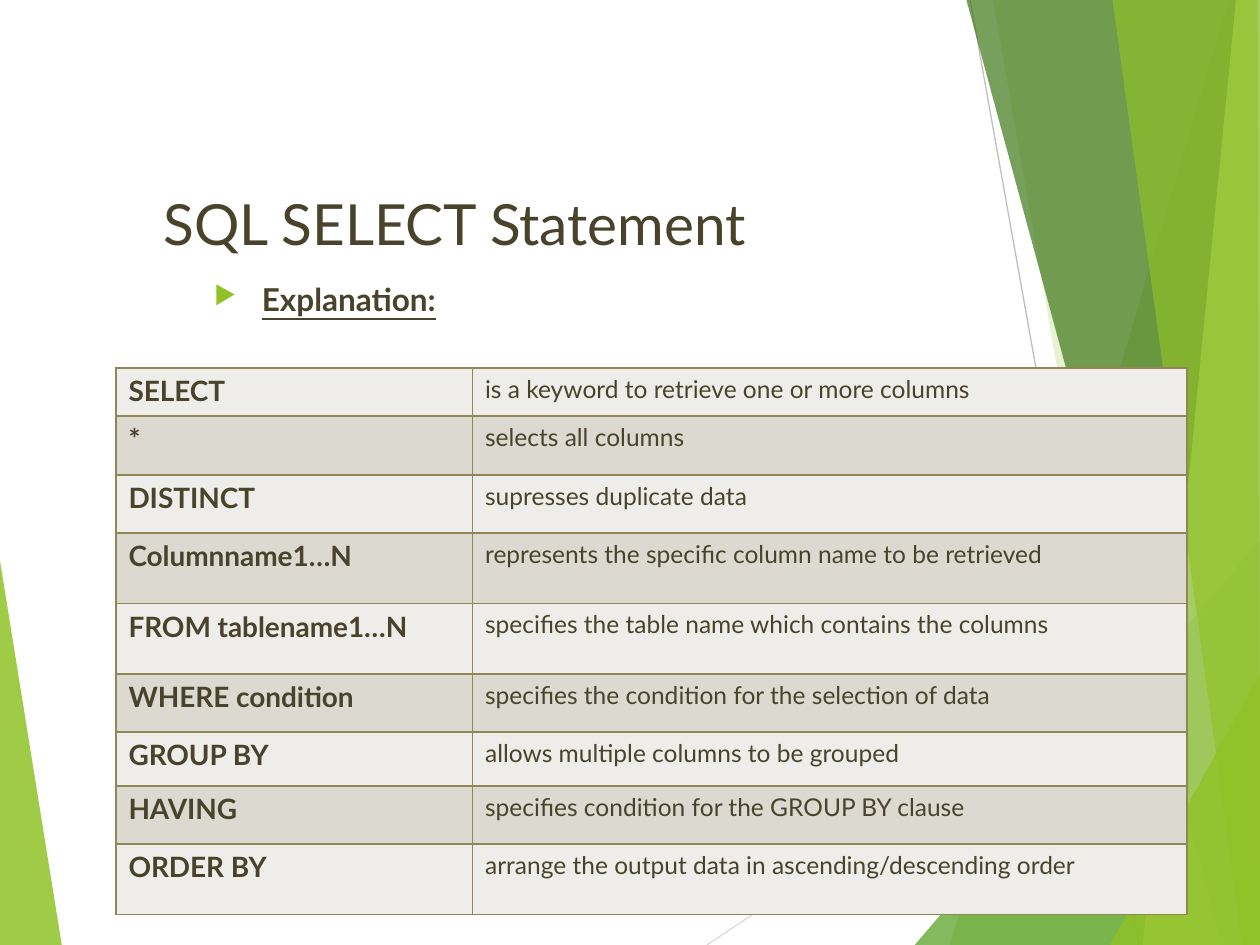
from lxml.etree import SubElement
from pptx import Presentation
from pptx.dml.color import RGBColor
from pptx.enum.shapes import MSO_CONNECTOR
from pptx.enum.text import MSO_ANCHOR
from pptx.oxml import parse_xml
from pptx.oxml.ns import nsdecls, qn
from pptx.util import Inches, Pt

TEXT_COLOR = "48432A"


def set_color(color_format, value):
    color_format.rgb = RGBColor.from_string(value)


def format_run(run, size, bold=False):
    run.font.name = "Lato"
    run.font.size = Pt(size)
    run.font.bold = bold
    set_color(run.font.color, TEXT_COLOR)


presentation = Presentation()
presentation.slide_width = Inches(10)
presentation.slide_height = Inches(7.5)
slide = presentation.slides.add_slide(presentation.slide_layouts[6])

left_facet = ("90C226", 85, [(0, 4.45), (0.49, 7.5), (0, 7.5)])
right_facets = [
    ("90C226", 30, [(9.75, 0), (7.54, 7.5), (10, 7.5), (10, 0)]),
    ("90C226", 20, [(7.88, 0), (9.19, 7.5), (10, 7.5), (10, 0)]),
    ("54A021", 72, [(7.26, 7.5), (10, 4.29), (10, 7.5)]),
    ("3F7819", 70, [(7.67, 0), (9.7, 7.5), (10, 7.5), (10, 0)]),
    ("C0E474", 70, [(9.81, 0), (9.07, 7.5), (10, 7.5), (10, 0)]),
    ("90C226", 65, [(8.83, 0), (9.86, 7.5), (10, 7.5), (9.98, 0)]),
    ("90C226", 80, [(8.81, 7.5), (10, 5.35), (10, 7.5)]),
]
for color, opacity, points in [left_facet] + right_facets:
    corners = [(Inches(x), Inches(y)) for x, y in points]
    builder = slide.shapes.build_freeform(*corners[0])
    builder.add_line_segments(corners[1:], close=True)
    facet = builder.convert_to_shape()
    facet.shadow.inherit = False
    facet.line.fill.background()
    facet.fill.solid()
    set_color(facet.fill.fore_color, color)
    color_element = facet.fill._xPr.find(qn("a:solidFill"))[0]
    SubElement(color_element, qn("a:alpha"), val=str(opacity * 1000))

    if points == left_facet[2]:
        for line_color, ends in [
            ("D9D9D9", (5.61, 7.5, 10, 4.57)),
            ("BFBFBF", (7.7, 0, 9.04, 7.5)),
        ]:
            connector = slide.shapes.add_connector(
                MSO_CONNECTOR.STRAIGHT, *[Inches(value) for value in ends]
            )
            connector.line.width = Pt(0.75)
            set_color(connector.line.color, line_color)
            SubElement(connector._element.spPr, qn("a:effectLst"))

title = slide.shapes.add_textbox(Inches(1.2), Inches(1.45), Inches(7.62), Inches(0.63))
title.text_frame.word_wrap = True
title.text_frame.vertical_anchor = MSO_ANCHOR.MIDDLE
title.text_frame.text = "SQL SELECT Statement"
format_run(title.text_frame.paragraphs[0].runs[0], 32.4)

heading = slide.shapes.add_textbox(Inches(1.6), Inches(2.17), Inches(6.78), Inches(0.5))
heading.text_frame.word_wrap = True
heading.text_frame.text = "Explanation:"
paragraph = heading.text_frame.paragraphs[0]
format_run(paragraph.runs[0], 18, bold=True)
paragraph.runs[0].font.underline = True
properties = paragraph._p.get_or_add_pPr()
properties.set("marL", str(Inches(0.38)))
properties.set("indent", str(-Inches(0.38)))
bullet_color = SubElement(properties, qn("a:buClr"))
SubElement(bullet_color, qn("a:srgbClr"), val="90C226")
SubElement(properties, qn("a:buSzPct"), val="80000")
SubElement(properties, qn("a:buChar"), char="▶")

clauses = [
    ("SELECT", "is a keyword to retrieve one or more columns", 0.38),
    ("*", "selects all columns", 0.47),
    ("DISTINCT", "supresses duplicate data", 0.46),
    ("Columnname1…N", "represents the specific column name to be retrieved", 0.56),
    ("FROM tablename1…N", "specifies the table name which contains the columns", 0.56),
    ("WHERE condition", "specifies the condition for the selection of data", 0.46),
    ("GROUP BY", "allows multiple columns to be grouped", 0.43),
    ("HAVING", "specifies condition for the GROUP BY clause", 0.46),
    ("ORDER BY", "arrange the output data in ascending/descending order", 0.56),
]
table = slide.shapes.add_table(
    len(clauses), 2, Inches(0.92), Inches(2.92), Inches(8.5), Inches(4.33)
).table
table.columns[0].width = Inches(2.83)
table.columns[1].width = Inches(5.67)
for row_index, (keyword, meaning, height) in enumerate(clauses):
    table.rows[row_index].height = Inches(height)
    for column_index, text in enumerate((keyword, meaning)):
        cell = table.cell(row_index, column_index)
        cell.text_frame.text = text
        is_keyword = column_index == 0
        format_run(
            cell.text_frame.paragraphs[0].runs[0], 16 if is_keyword else 14, is_keyword
        )
        cell_properties = cell._tc.get_or_add_tcPr()
        for side in ("lnL", "lnR", "lnT", "lnB"):
            cell_properties.append(parse_xml(
                f'<a:{side} {nsdecls("a")} w="{Pt(1)}"><a:solidFill>'
                f'<a:srgbClr val="918655"/></a:solidFill></a:{side}>'
            ))
        cell.fill.solid()
        set_color(cell.fill.fore_color, "DCD9D1" if row_index % 2 else "EEEDE9")

presentation.save("out.pptx")
